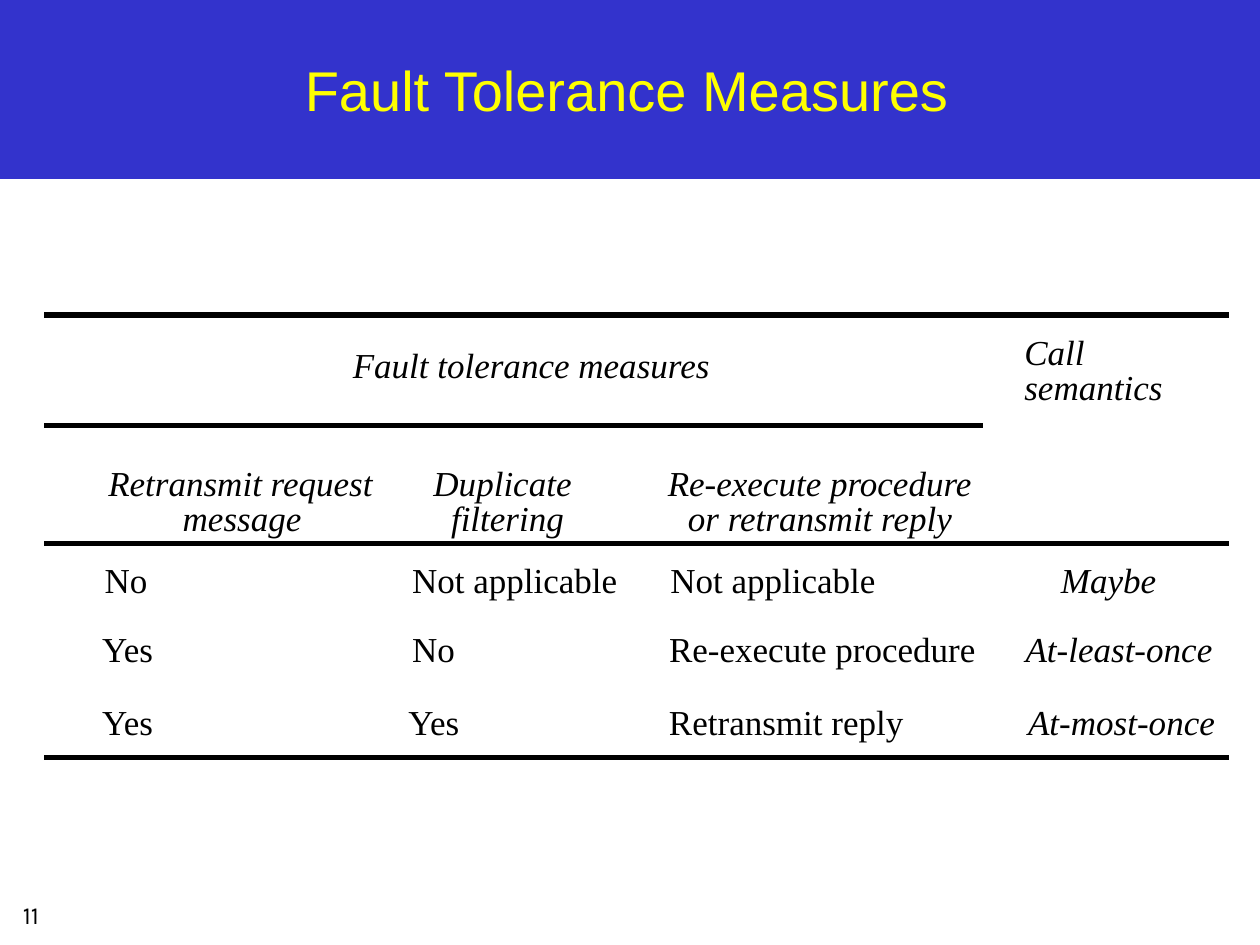
from typing import NamedTuple

from lxml import etree
from pptx import Presentation
from pptx.dml.color import RGBColor
from pptx.enum import shapes, text
from pptx.oxml import ns
from pptx.util import Inches, Pt

BLUE = RGBColor(0x33, 0x33, 0xCC)
YELLOW = RGBColor(0xFF, 0xFF, 0x00)
BLACK = RGBColor(0x00, 0x00, 0x00)

LABEL_HEIGHT = 0.33
LABEL_SLACK = 0.08  # spare width that keeps each label on one line
RULE_LEFT = 0.35
MEASURES_RIGHT, TABLE_RIGHT = 7.8, 9.75


class Label(NamedTuple):
    words: str
    left: float
    width: float


class Row(NamedTuple):
    top: float
    labels: list[Label]
    italic_from: int = 0  # index of the first italic label


class Rule(NamedTuple):
    top: float
    right: float


ROWS = [
    # Headings
    Row(2.62, [Label("Call", 8.13, 0.48)]),
    Row(2.73, [Label("Fault tolerance measures", 2.8, 2.85)]),
    Row(2.9, [Label("semantics", 8.13, 1.1)]),
    Row(3.66, [Label("Retransmit request", 0.86, 2.18),
               Label("Duplicate", 3.44, 1.17),
               Label("Re-execute procedure", 5.3, 2.5)]),
    Row(3.94, [Label("message", 1.45, 0.94),
               Label("filtering", 3.58, 0.9),
               Label("or retransmit reply", 5.46, 2.12)]),
    # Body: three measures, then the call semantics in italics
    Row(4.43, [Label("No", 0.83, 0.34),
               Label("Not applicable", 3.27, 1.63),
               Label("Not applicable", 5.32, 1.63),
               Label("Maybe", 8.42, 0.76)], 3),
    Row(4.98, [Label("Yes", 0.81, 0.43),
               Label("No", 3.27, 0.34),
               Label("Re-execute procedure", 5.31, 2.43),
               Label("At-least-once", 8.14, 1.48)], 3),
    Row(5.56, [Label("Yes", 0.81, 0.43),
               Label("Yes", 3.24, 0.43),
               Label("Retransmit reply", 5.31, 1.86),
               Label("At-most-once", 8.16, 1.48)], 3),
]

RULES = [Rule(2.5, TABLE_RIGHT), Rule(3.38, MEASURES_RIGHT),
         Rule(4.31, TABLE_RIGHT), Rule(6.01, TABLE_RIGHT)]


def add_text(page, words: str, left: float, top: float, width: float,
             height: float, font: str, size: float, color: RGBColor = BLACK):
    """Add one line of text and return its box."""
    box = page.shapes.add_textbox(Inches(left), Inches(top),
                                  Inches(width), Inches(height))
    box.text_frame.word_wrap = True
    box.text_frame.auto_size = text.MSO_AUTO_SIZE.NONE
    para = box.text_frame.paragraphs[0]
    para.text = words
    para.font.name = font
    para.font.size = Pt(size)
    para.font.color.rgb = color
    return box


def add_label(page, label: Label, top: float, italic: bool) -> None:
    box = add_text(page, label.words, label.left, top,
                   label.width + LABEL_SLACK, LABEL_HEIGHT,
                   "Times New Roman", 20)
    frame = box.text_frame
    frame.margin_left = frame.margin_right = 0
    frame.margin_top = frame.margin_bottom = 0
    frame.paragraphs[0].font.italic = italic


def add_rule(page, rule: Rule) -> None:
    line = page.shapes.add_connector(
        shapes.MSO_CONNECTOR.STRAIGHT, Inches(RULE_LEFT), Inches(rule.top),
        Inches(rule.right), Inches(rule.top))
    line.line.color.rgb = BLACK
    line.line.width = Pt(2.86)
    etree.SubElement(line._element.spPr, ns.qn("a:effectLst"))


def main() -> None:
    deck = Presentation()
    deck.slide_width, deck.slide_height = Inches(10), Inches(7.5)
    page = deck.slides.add_slide(deck.slide_layouts[6])

    # Title band
    band = page.shapes.add_shape(shapes.MSO_SHAPE.RECTANGLE, 0, 0,
                                 deck.slide_width, Inches(1.42))
    band.shadow.inherit = False
    band.fill.solid()
    band.fill.fore_color.rgb = BLUE
    band.line.fill.background()

    # Slide number and title
    number = add_text(page, "11", -0.33, 7.09, 1.15, 0.37, "Karla", 14)
    title = add_text(page, "Fault Tolerance Measures", 0.17, 0.17, 9.61, 1.08,
                     "Arial", 32, YELLOW)
    title.text_frame.vertical_anchor = text.MSO_ANCHOR.MIDDLE
    for box in (number, title):
        box.text_frame.paragraphs[0].alignment = text.PP_ALIGN.CENTER

    # Table of measures
    for rule in RULES:
        add_rule(page, rule)
    for row in ROWS:
        for index, label in enumerate(row.labels):
            add_label(page, label, row.top, index >= row.italic_from)

    deck.save("out.pptx")


if __name__ == "__main__":
    main()
